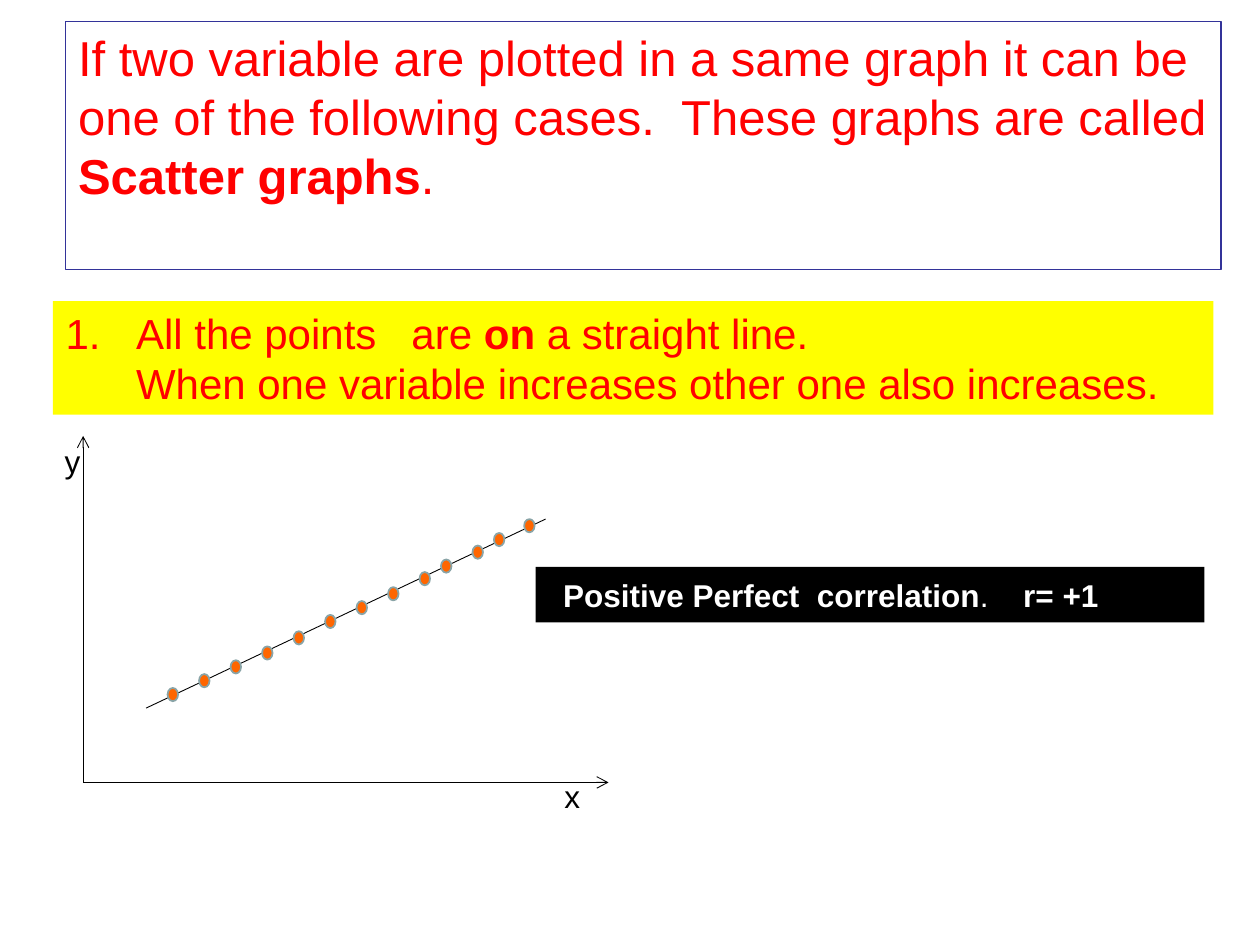
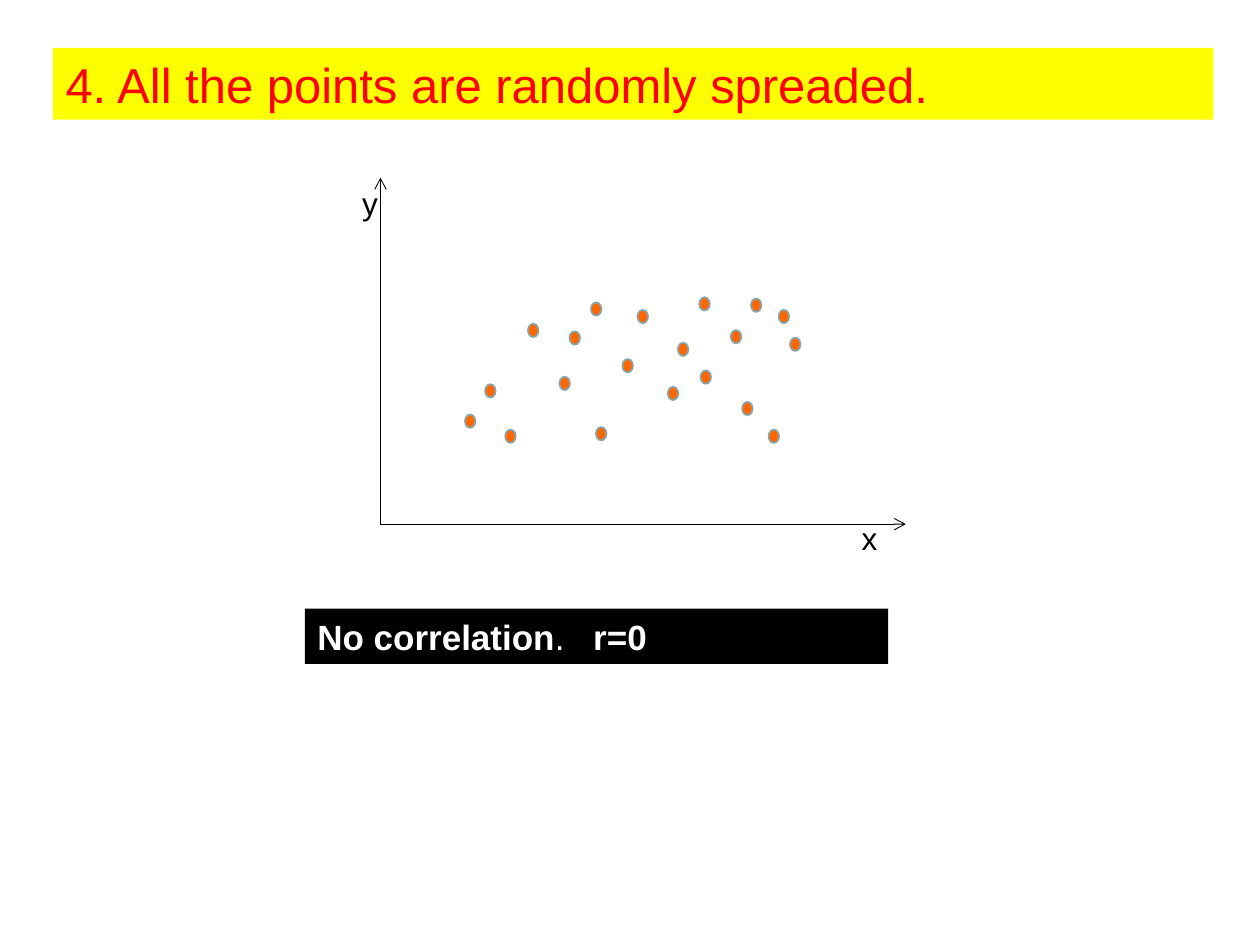
from dataclasses import dataclass

from lxml.etree import SubElement
from pptx import Presentation
from pptx.dml.color import RGBColor
from pptx.enum.shapes import MSO_CONNECTOR, MSO_SHAPE
from pptx.enum.text import MSO_ANCHOR, MSO_AUTO_SIZE, PP_ALIGN
from pptx.oxml.ns import qn
from pptx.util import Inches, Pt


@dataclass(frozen=True)
class Theme:
    font: str = "Arial"
    red: RGBColor = RGBColor(255, 0, 0)
    yellow: RGBColor = RGBColor(255, 255, 0)
    black: RGBColor = RGBColor(0, 0, 0)
    white: RGBColor = RGBColor(255, 255, 255)
    frame: RGBColor = RGBColor(0x33, 0x33, 0x99)
    dot: RGBColor = RGBColor(0xFF, 0x66, 0)
    rim: RGBColor = RGBColor(0x89, 0xA4, 0xA7)
    title: int = 28
    list: int = 24
    strong: int = 20
    label: int = 18


theme = Theme()
deck = Presentation()
deck.slide_width, deck.slide_height = Inches(10), Inches(7.5)
col = deck.slide_width / 100
row = deck.slide_height / 75


def panel(shape, box, fill, hue, size, paras, anchor=MSO_ANCHOR.TOP):
    """Place a shape and fill it with paragraphs of (text, bold) runs."""
    left, top, wide, high = box
    shape.left, shape.top = int(left * col), int(top * row)
    shape.width, shape.height = int(wide * col), int(high * row)
    if fill is not None:
        shape.fill.solid()
        shape.fill.fore_color.rgb = fill
    shape.line.fill.background()
    frame = shape.text_frame
    frame.word_wrap = True
    frame.auto_size = MSO_AUTO_SIZE.NONE
    frame.vertical_anchor = anchor
    for i, parts in enumerate(paras):
        para = frame.add_paragraph() if i else frame.paragraphs[0]
        para.alignment = PP_ALIGN.LEFT
        para.space_before = Pt(0)
        for text, bold in parts:
            run = para.add_run()
            run.text = text
            run.font.name, run.font.size = theme.font, Pt(size)
            run.font.bold, run.font.color.rgb = bold, hue
    return frame


def graph(slide, left, base, dots, trend=None):
    """Draw axes from an origin, with dots given as (across, up) from it."""
    group = slide.shapes.add_group_shape().shapes
    lines = [((0, 0), (0, 27.5), True), ((0, 0), (41.7, 0), True)]
    if trend:
        lines.append((*trend, False))
    for (x1, y1), (x2, y2), arrow in lines:
        line = group.add_connector(
            MSO_CONNECTOR.STRAIGHT,
            int((left + x1) * col), int((base - y1) * row),
            int((left + x2) * col), int((base - y2) * row))
        line.line.color.rgb, line.line.width = theme.black, Pt(0.5)
        if arrow:
            SubElement(line.line._get_or_add_ln(), qn("a:tailEnd"), type="arrow")
        SubElement(line._element.spPr, qn("a:effectLst"))
    for across, up in dots:
        dot = group.add_shape(
            MSO_SHAPE.OVAL, int((left + across) * col), int((base - up) * row),
            int(0.83 * col), int(1.05 * row))
        dot.shadow.inherit = False
        dot.fill.solid()
        dot.fill.fore_color.rgb = theme.dot
        dot.line.color.rgb, dot.line.width = theme.rim, Pt(1)
    for name, across, up in (("y", -2.45, 27.5), ("x", 37.2, 0.9)):
        box = (left + across, base - up, 2.9, 4)
        panel(group.add_textbox(0, 0, 0, 0), box, None, theme.black,
              theme.label, [[(name, False)]])


# Slide 1: perfect correlation
first = deck.slides.add_slide(deck.slide_layouts[1])
intro = first.shapes.title
panel(intro, (5.2, 1.7, 91.7, 19.7), theme.white, theme.red, theme.title, [[
    ("If two variable are plotted in a same graph it can be one of the "
     "following cases.  These graphs are called ", False),
    ("Scatter graphs", True), (".", False)]])
intro.line.color.rgb, intro.line.width = theme.frame, Pt(1)

case = panel(
    first.placeholders[1], (4.2, 23.9, 92.1, 9), theme.yellow, theme.red, theme.list,
    [[("All the points   are ", False), ("on", True), (" a straight line.", False)],
     [("When one variable increases other one also increases.", False)]])
for para, hang in zip(case.paragraphs, (True, False)):
    props = para._p.get_or_add_pPr()
    props.set("marL", str(Inches(0.56)))
    props.set("indent", str(-Inches(0.56) if hang else 0))
    if hang:
        color = SubElement(props, qn("a:buClr"))
        SubElement(color, qn("a:srgbClr"), val=str(theme.red))
        SubElement(props, qn("a:buFont"), typeface=theme.font)
        SubElement(props, qn("a:buAutoNum"), type="arabicPeriod")
    else:
        SubElement(props, qn("a:buNone"))

across = [6.7 + 2.5 * i for i in range(8)] + [26.7, 28.4, 30.9, 32.6, 35]
up = [7.5, 8.6, 9.7, 10.8, 12, 13.3, 14.4, 15.5, 16.7, 17.7, 18.8, 19.8, 20.9]
graph(first, 6.6, 62.1, zip(across, up), ((5, 5.9), (36.7, 20.9)))

# Slide 2: no correlation
second = deck.slides.add_slide(deck.slide_layouts[5])
panel(second.shapes.title, (4.2, 3.8, 92.1, 5.7), theme.yellow, theme.red,
      theme.title, [[("4. All the points are randomly spreaded.", False)]])
graph(second, 30.2, 41.6, [
    (6.7, 8.7), (8.3, 11.1), (9.9, 7.5), (11.7, 15.9), (14.2, 11.7),
    (15, 15.3), (16.7, 17.6), (17.1, 7.7), (19.2, 13.1), (20.4, 17),
    (22.8, 10.9), (23.6, 14.4), (25.3, 18), (25.4, 12.2), (27.8, 15.4),
    (28.7, 9.7), (29.4, 17.9), (30.8, 7.5), (31.6, 17), (32.5, 14.8)])

# Verdict under each graph, with the value of r at a tab stop
for slide, box, inset, size, name, value, stop in (
        (first, (42.5, 45, 53.1, 4.4), 0.22, theme.label,
         "Positive Perfect  correlation", "r= +1", 3.65),
        (second, (24.2, 48.3, 46.3, 4.4), 0.1, theme.strong,
         "No correlation", "r=0", 2.19)):
    bar = slide.shapes.add_shape(MSO_SHAPE.RECTANGLE, 0, 0, 0, 0)
    bar.shadow.inherit = False
    frame = panel(bar, box, theme.black, theme.white, size,
                  [[(name, True), (".", False), ("\t" + value, True)]],
                  MSO_ANCHOR.MIDDLE)
    frame.margin_left = Inches(inset)
    tabs = SubElement(frame.paragraphs[0]._p.get_or_add_pPr(), qn("a:tabLst"))
    SubElement(tabs, qn("a:tab"), pos=str(Inches(stop)), algn="l")

deck.save("out.pptx")
